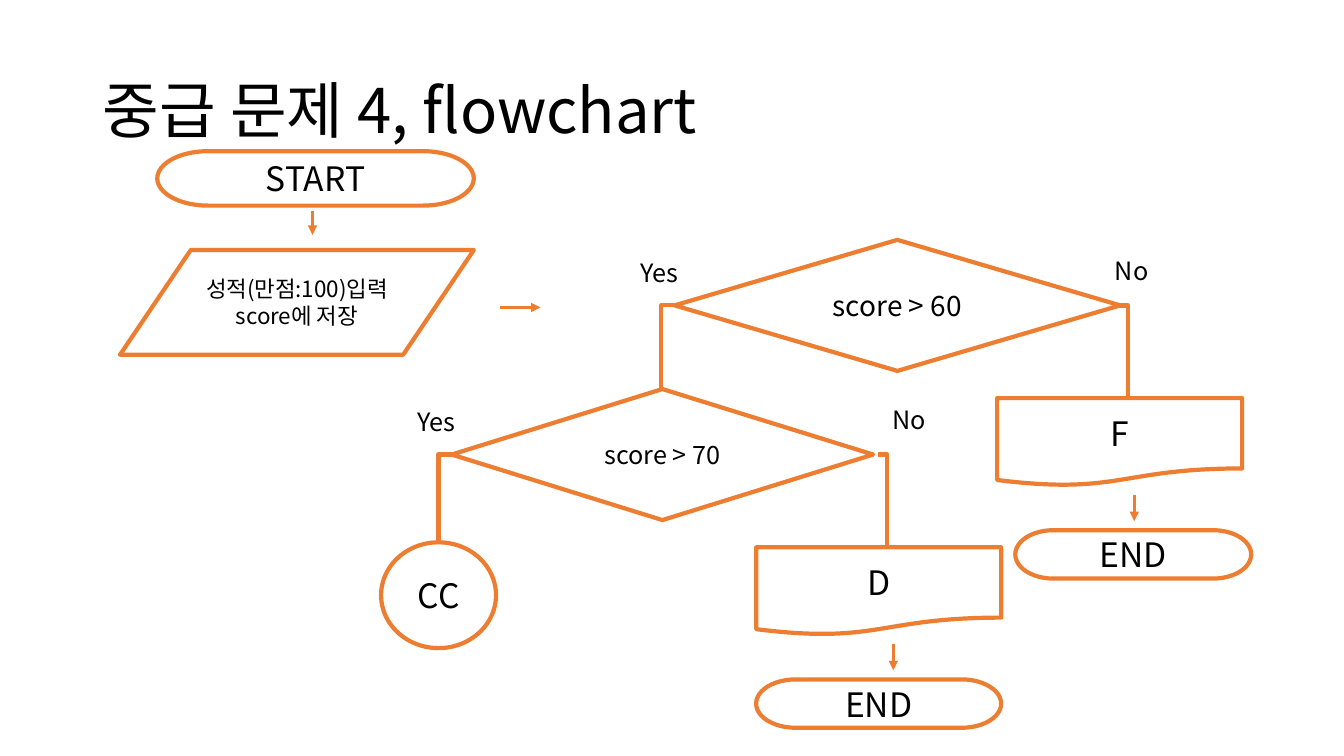
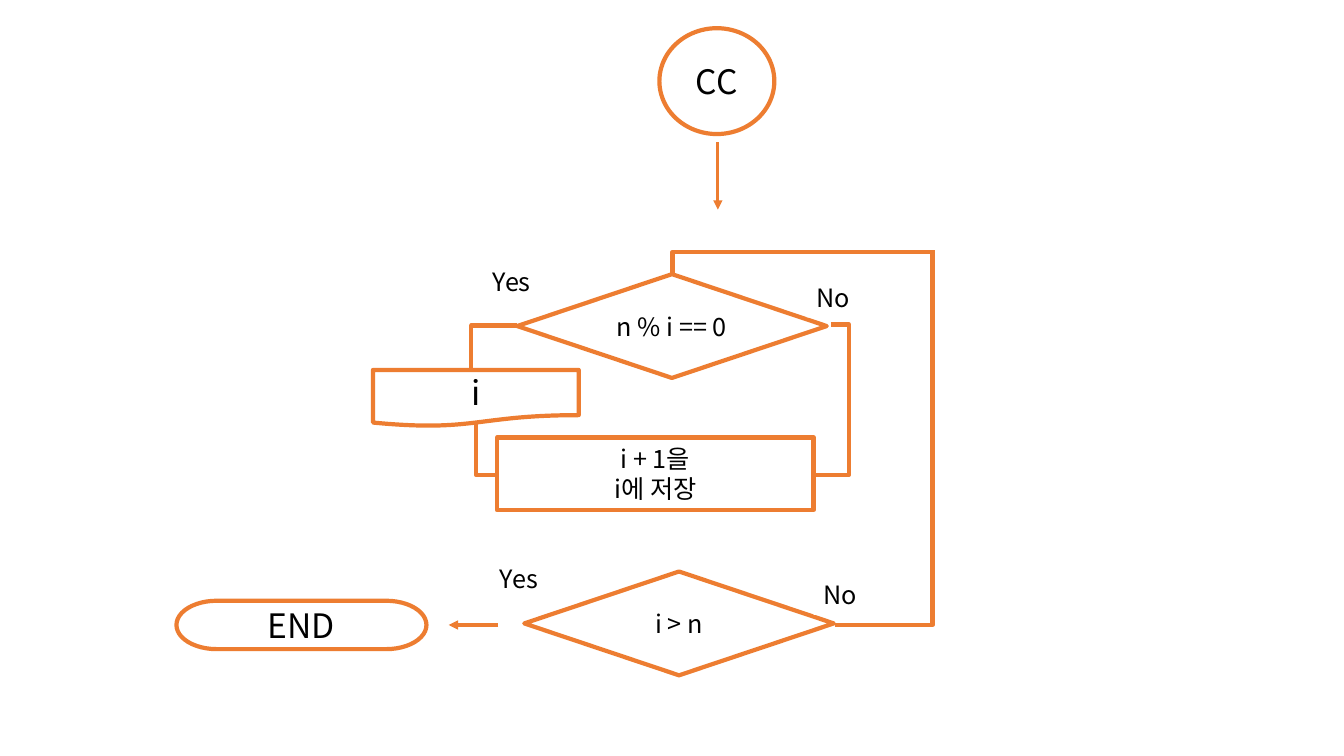
from lxml import etree
from pptx import Presentation
from pptx.dml.color import RGBColor
from pptx.enum.shapes import MSO_CONNECTOR as CONN, MSO_SHAPE as SHAPE
from pptx.enum.text import MSO_ANCHOR as ANCHOR, MSO_AUTO_SIZE as AUTO, PP_ALIGN as ALIGN
from pptx.oxml.ns import qn
from pptx.util import Inches, Pt

FONT = "Noto Sans CJK KR"
COLORS = {"line": "ED7D31", "fill": "FFFFFF", "text": "000000"}
BIG, MEDIUM, LABEL, SMALL = 24, 20, 18, 16
OUTLINE, ARROW = 3, 2.25
TITLE_BOX = (0.92, 0.4, 11.5, 1.45)
CIRCLE_SIZE = (1.14, 1.05)
LABEL_H = 0.4


def rgb(name):
    return RGBColor.from_string(COLORS[name])


def write(tf, text, size, align=ALIGN.LEFT):
    tf.word_wrap = True
    tf.text = text
    for p in tf.paragraphs:
        p.alignment = align
        for r in p.runs:
            for key, value in {"size": Pt(size), "name": FONT}.items():
                setattr(r.font, key, value)
            r.font.color.rgb = rgb("text")
            ea = etree.SubElement(r.font._element, qn("a:ea"))
            ea.set("typeface", FONT)


def node(shapes, kind, box, text, size=BIG):
    sp = shapes.add_shape(kind, *map(Inches, box))
    sp.shadow.inherit = False
    sp.fill.solid()
    sp.fill.fore_color.rgb = rgb("fill")
    sp.line.color.rgb = rgb("line")
    sp.line.width = Pt(OUTLINE)
    sp.text_frame.vertical_anchor = ANCHOR.MIDDLE
    write(sp.text_frame, text, size, ALIGN.CENTER)


def label(shapes, x, y, w, text):
    sp = shapes.add_textbox(*map(Inches, (x, y, w, LABEL_H)))
    sp.fill.solid()
    sp.fill.fore_color.rgb = rgb("fill")
    write(sp.text_frame, text, LABEL)
    sp.text_frame.auto_size = AUTO.SHAPE_TO_FIT_TEXT


def connect(shapes, kind, start, end, width):
    c = shapes.add_connector(kind, *map(Inches, (*start, *end)))
    c.line.color.rgb = rgb("line")
    c.line.width = Pt(width)
    etree.SubElement(c._element.spPr, qn("a:effectLst"))
    return c


def arrow(shapes, start, end):
    c = connect(shapes, CONN.STRAIGHT, start, end, ARROW)
    etree.SubElement(c.line._get_or_add_ln(), qn("a:tailEnd")).set("type", "triangle")


def corner(shapes, start, end):
    """Line with one bend: first horizontal, then vertical."""
    c = connect(shapes, CONN.ELBOW, start, end, OUTLINE)
    c._element.spPr.find(qn("a:prstGeom")).set("prst", "bentConnector2")


def decision(shapes, box, text, size, yes, no):
    """Diamond with labels; yes is offset from its left corner, no from its right."""
    x, y, w, _ = box
    node(shapes, SHAPE.FLOWCHART_DECISION, box, text, size)
    for name, left, (dx, dy, label_w) in (("Yes", x, yes), ("No", x + w, no)):
        label(shapes, left + dx, y + dy, label_w, name)


def score_input(shapes, x, y):
    group = shapes.add_group_shape().shapes
    node(group, SHAPE.FLOWCHART_TERMINATOR, (x + 0.37, y, 3.14, 0.54), "START")
    arrow(group, (x + 1.91, y + 0.59), (x + 1.91, y + 0.83))
    node(group, SHAPE.FLOWCHART_DATA, (x, y + 0.98, 3.51, 1.04),
         "성적(만점:100)입력\nscore에 저장", SMALL)
    arrow(group, (x + 3.77, y + 1.55), (x + 4.17, y + 1.55))


def score_test(shapes, x, y, w, text, size, no_dx, right_dx):
    """Decision whose branches drop down on both sides."""
    decision(shapes, (x, y, w, 1.3), text, size, (-0.44, 0.12, 0.7), (no_dx, 0.1, 0.67))
    corner(shapes, (x, y + 0.65), (x - 0.13, y + 1.52))
    right = x + w + right_dx
    corner(shapes, (right, y + 0.65), (right + 0.09, y + 1.57))


def printed_grade(shapes, x, y, grade, end_dx, end_w):
    node(shapes, SHAPE.FLOWCHART_DOCUMENT, (x, y, 2.43, 0.87), grade)
    arrow(shapes, (x + 1.36, y + 0.96), (x + 1.36, y + 1.22))
    node(shapes, SHAPE.FLOWCHART_TERMINATOR, (x + end_dx, y + 1.31, end_w, 0.48), "END")


def divisor_step(shapes, x, y):
    """Tests i, prints it when it divides n, then adds one."""
    middle = y + 0.51
    connect(shapes, CONN.ELBOW, (x, middle), (x - 0.91, y + 1.37), OUTLINE)
    corner(shapes, (x + 3.11, y + 0.5), (x + 3.29, y + 1))
    corner(shapes, (x + 2.95, y + 1.99), (x + 3.29, y + 1))
    corner(shapes, (x - 0.2, y + 1.99), (x - 0.41, y + 1.47))
    node(shapes, SHAPE.RECTANGLE, (x - 0.2, y + 1.62, 3.14, 0.72), "i + 1을\ni에 저장", LABEL)
    node(shapes, SHAPE.FLOWCHART_DOCUMENT, (x - 1.43, y + 0.95, 2.04, 0.56), "i")
    loop_decision(shapes, x, y, "n % i == 0")


def loop_decision(shapes, x, y, text):
    decision(shapes, (x, y, 3.07, 1.03), text, LABEL, (-0.34, -0.13, 0.63), (-0.2, 0.03, 0.63))


def loop_end(shapes, x, y):
    middle = y + 0.53
    loop_decision(shapes, x, y, "i > n")
    arrow(shapes, (x - 0.26, middle), (x - 0.75, middle))
    node(shapes, SHAPE.FLOWCHART_TERMINATOR, (x - 3.45, y + 0.29, 2.48, 0.48), "END")


def place_title(s, text):
    sp = s.shapes.title
    for key, value in zip(("left", "top", "width", "height"), TITLE_BOX):
        setattr(sp, key, Inches(value))
    tf = sp.text_frame
    write(tf, text, 44)
    tf.auto_size = AUTO.NONE
    tf.vertical_anchor = ANCHOR.MIDDLE
    tf.paragraphs[0].line_spacing = 0.9


def grade_slide(prs):
    s = prs.slides.add_slide(prs.slide_layouts[5])
    place_title(s, "중급 문제 4, flowchart")
    score_input(s.shapes, 1.19, 1.5)
    score_test(s.shapes, 6.69, 2.38, 4.42, "score > 60", MEDIUM, -0.15, -0.01)
    printed_grade(s.shapes, 9.89, 3.95, "F", 0.18, 2.34)
    score_test(s.shapes, 4.48, 3.86, 4.18, "score > 70", LABEL, 0.09, 0.05)
    printed_grade(s.shapes, 7.5, 5.43, "D", 0, 2.43)
    node(s.shapes, SHAPE.OVAL, (3.78, 5.38, *CIRCLE_SIZE), "CC")


def divisor_slide(prs):
    s = prs.slides.add_slide(prs.slide_layouts[6])
    node(s.shapes, SHAPE.OVAL, (6.54, 0.28, *CIRCLE_SIZE), "CC")
    arrow(s.shapes, (7.12, 1.41), (7.12, 2.08))
    corner(s.shapes, (8.28, 6.2), (9.25, 2.48))
    corner(s.shapes, (9.25, 2.5), (6.67, 2.72))
    divisor_step(s.shapes, 5.13, 2.72)
    loop_end(s.shapes, 5.2, 5.67)


def main():
    prs = Presentation()
    prs.slide_width, prs.slide_height = Inches(13.33), Inches(7.5)
    grade_slide(prs)
    divisor_slide(prs)
    prs.save("out.pptx")


if __name__ == "__main__":
    main()
